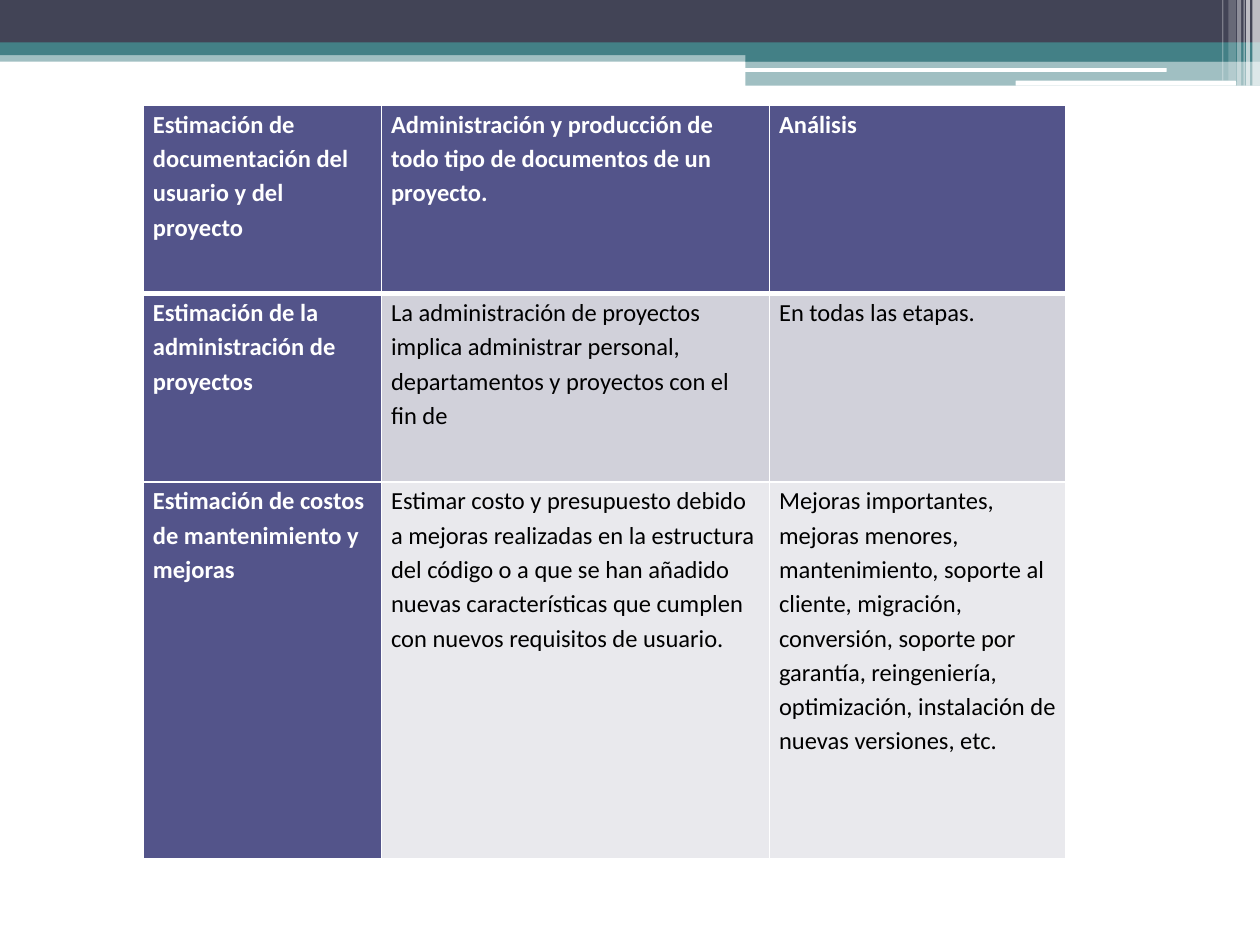
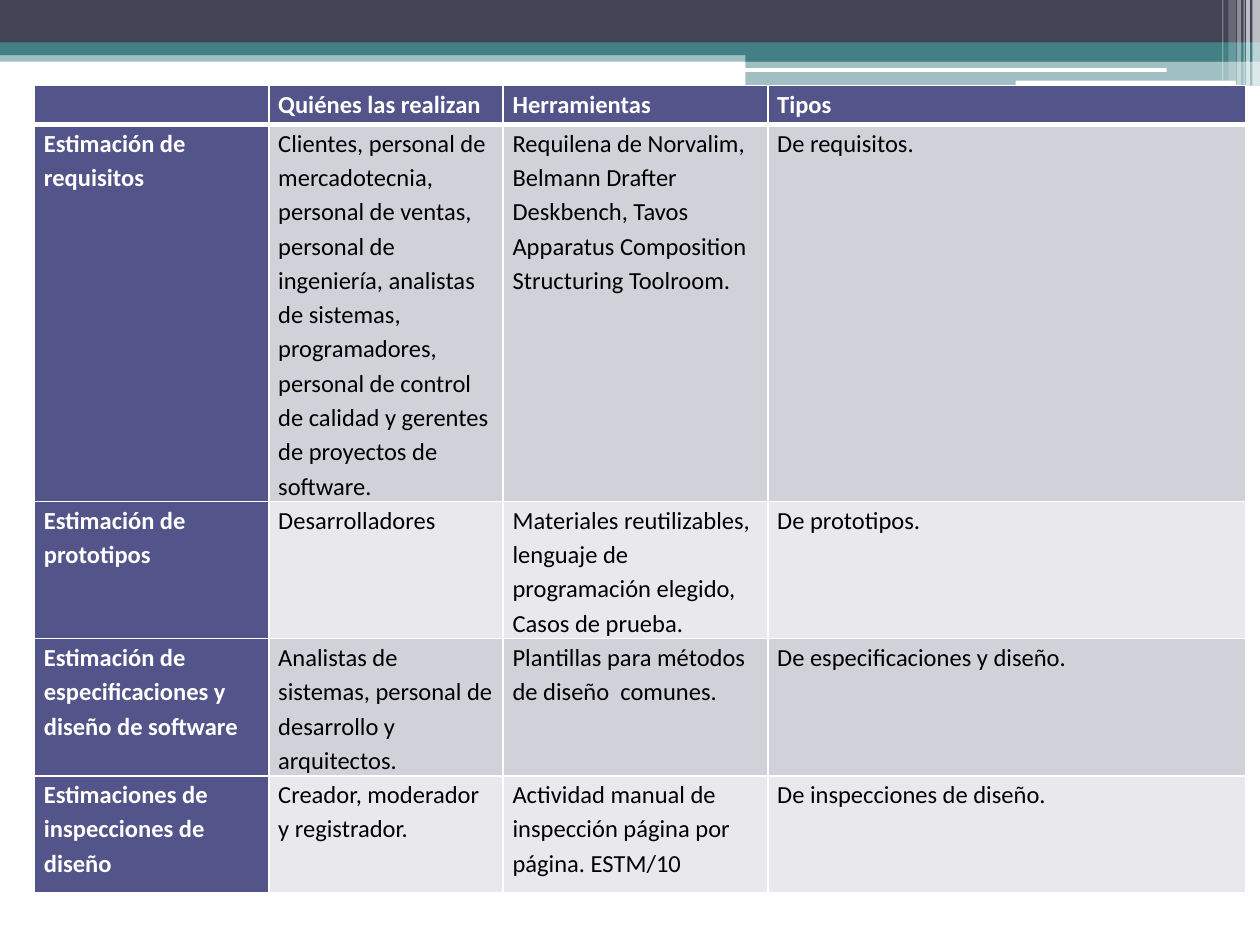
from lxml.etree import SubElement
from pptx import Presentation
from pptx.dml.color import RGBColor
from pptx.enum.shapes import MSO_SHAPE as Shape
from pptx.oxml import parse_xml
from pptx.oxml.ns import nsdecls, qn
from pptx.util import Pt

# Shared palette and text format
WHITE, BLACK = "FFFFFF", "000000"
SLATE, TEAL = "424456", "438086"
INDIGO = "53548A"
STRIPES = ("D1D1DA", "E9E9ED")
FONT, FONT_SIZE = "Calibri", 14
CELL_MARGINS = {"margin_left": Pt(5.4), "margin_right": Pt(5.4),
                "margin_top": 0, "margin_bottom": 0}
PARAGRAPH_FORMAT = {"line_spacing": 1.15, "space_after": Pt(10)}
THIN, THICK = 1, 3


def apply_format(target, values):
    for name, value in values.items():
        setattr(target, name, value)


def paint(fill, color, opacity=100):
    fill.solid()
    fill.fore_color.rgb = RGBColor.from_string(color)
    if opacity < 100:
        color_element = fill._xPr.find(qn("a:solidFill"))[0]
        SubElement(color_element, qn("a:alpha"), val=str(opacity * 1000))


def add_bar(slide, box, color, opacity=100, kind=Shape.RECTANGLE):
    shape = slide.shapes.add_shape(kind, *[Pt(length) for length in box])
    shape.shadow.inherit = False
    shape.line.fill.background()
    paint(shape.fill, color, opacity)
    return shape


def add_header_band(slide, box):
    left, top, width, height = box
    right = left + width
    step = left + 426
    # Full-width bands, then the stepped bands on the right
    bars = [
        add_bar(slide, (left, top + 28.8, width, 6.5), TEAL, 50),
        add_bar(slide, (left, top, width, 24.5), SLATE),
        add_bar(slide, (left, top + 24.3, width, 7.2), TEAL),
        add_bar(slide, (step, top + 28.1, right - step, 7.2), TEAL),
        add_bar(slide, (step, top + 34.6, right - step, height - 34.6), TEAL, 50),
    ]
    # White rounded rules
    for rule in ((step - 0.5, top + 38.9, 241.2, 2.2),
                 (right - 139.7, top + 46.1, 126, 2.9)):
        bars.append(add_bar(slide, rule, WHITE, kind=Shape.ROUNDED_RECTANGLE))
    # Vertical light streaks: distance from right edge, width, shortfall, opacity
    for offset, thickness, shortfall, opacity in (
            (4.3, 4.3, 0, 65), (7.9, 2.2, 0, 65), (9.4, 0.7, 0, 60),
            (13, 2.2, 0, 40), (18, 4.3, 2.9, 20), (21.6, 0.7, 2.9, 30)):
        streak = (right - offset, top, thickness, height - shortfall)
        bars.append(add_bar(slide, streak, WHITE, opacity))
    return bars


def move_to_master(shapes, master):
    for position, shape in enumerate(shapes):
        element = shape._element
        element.nvSpPr.cNvPr.set("id", str(100 + position))
        master.shapes._spTree.insert(2 + position, element)


def set_borders(cell, top, bottom):
    properties = cell._tc.get_or_add_tcPr()
    sides = {"L": THIN, "R": THIN, "T": top, "B": bottom}
    for position, (side, width) in enumerate(sides.items()):
        properties.insert(position, parse_xml(
            f'<a:ln{side} {nsdecls("a")} w="{Pt(width)}"><a:solidFill>'
            f'<a:srgbClr val="{WHITE}"/></a:solidFill></a:ln{side}>'))


def fill_cell(cell, text, row, column):
    is_heading = row == 0 or column == 0
    apply_format(cell, CELL_MARGINS)
    paint(cell.fill, INDIGO if is_heading else STRIPES[(row - 1) % 2])
    set_borders(cell, THICK if row == 1 else THIN, THICK if row == 0 else THIN)
    paragraph = cell.text_frame.paragraphs[0]
    apply_format(paragraph, PARAGRAPH_FORMAT)
    if not text:  # keeps an empty cell as low as its row
        SubElement(paragraph._p, qn("a:endParaRPr"), sz=str(FONT_SIZE * 100))
        return
    run = paragraph.add_run()
    run.text = text
    apply_format(run.font, {"name": FONT, "size": Pt(FONT_SIZE), "bold": is_heading})
    run.font.color.rgb = RGBColor.from_string(WHITE if is_heading else BLACK)


def add_estimate_table(slide, box, column_shares, row_shares, rows):
    left, top, width, height = box
    frame = slide.shapes.add_table(len(rows), len(column_shares),
                                   Pt(left), Pt(top), Pt(width), Pt(height))
    table = frame.table
    for column, share in zip(table.columns, column_shares):
        column.width = Pt(width * share / sum(column_shares))
    for row, share in zip(table.rows, row_shares):
        row.height = Pt(height * share / sum(row_shares))
    for row, texts in enumerate(rows):
        for column, text in enumerate(texts):
            fill_cell(table.cell(row, column), text, row, column)


MANAGEMENT_ROWS = [
    ("Estimación de documentación del usuario y del proyecto",
     "Administración y producción de todo tipo de documentos de un proyecto.",
     "Análisis"),
    ("Estimación de la administración de proyectos",
     "La administración de proyectos implica administrar personal, "
     "departamentos y proyectos con el fin de",
     "En todas las etapas."),
    ("Estimación de costos de mantenimiento y mejoras",
     "Estimar costo y presupuesto debido a mejoras realizadas en la estructura "
     "del código o a que se han añadido nuevas características que cumplen con "
     "nuevos requisitos de usuario.",
     "Mejoras importantes, mejoras menores, mantenimiento, soporte al cliente, "
     "migración, conversión, soporte por garantía, reingeniería, optimización, "
     "instalación de nuevas versiones, etc."),
]
TOOL_ROWS = [
    ("", "Quiénes las realizan", "Herramientas", "Tipos"),
    ("Estimación de requisitos",
     "Clientes, personal de mercadotecnia, personal de ventas, personal de "
     "ingeniería, analistas de sistemas, programadores, personal de control de "
     "calidad y gerentes de proyectos de software.",
     "Requilena de Norvalim, Belmann Drafter Deskbench, Tavos Apparatus "
     "Composition Structuring Toolroom.",
     "De requisitos."),
    ("Estimación de prototipos",
     "Desarrolladores",
     "Materiales reutilizables, lenguaje de programación elegido, Casos de prueba.",
     "De prototipos."),
    ("Estimación de especificaciones y diseño de software",
     "Analistas de sistemas, personal de desarrollo y arquitectos.",
     "Plantillas para métodos de diseño  comunes.",
     "De especificaciones y diseño."),
    ("Estimaciones de inspecciones de diseño",
     "Creador, moderador y registrador.",
     "Actividad manual de inspección página por página. ESTM/10",
     "De inspecciones de diseño."),
]

presentation = Presentation()
apply_format(presentation, {"slide_width": Pt(720), "slide_height": Pt(540)})
blank_layout = presentation.slide_layouts[6]

# Management estimates
management_slide = presentation.slides.add_slide(blank_layout)
header_bars = add_header_band(management_slide, (0, 0, 720, 49))
move_to_master(header_bars, presentation.slide_master)
add_estimate_table(management_slide, (82, 60.3, 527, 430.5),
                   (1.89, 3.08, 2.35), (1, 1, 2), MANAGEMENT_ROWS)

# Who estimates and with which tools
tool_slide = presentation.slides.add_slide(blank_layout)
add_estimate_table(tool_slide, (19.7, 48.8, 692, 402),
                   (1.86, 1.86, 2.1, 3.79), (1, 8, 3, 3, 3), TOOL_ROWS)

presentation.save("out.pptx")
